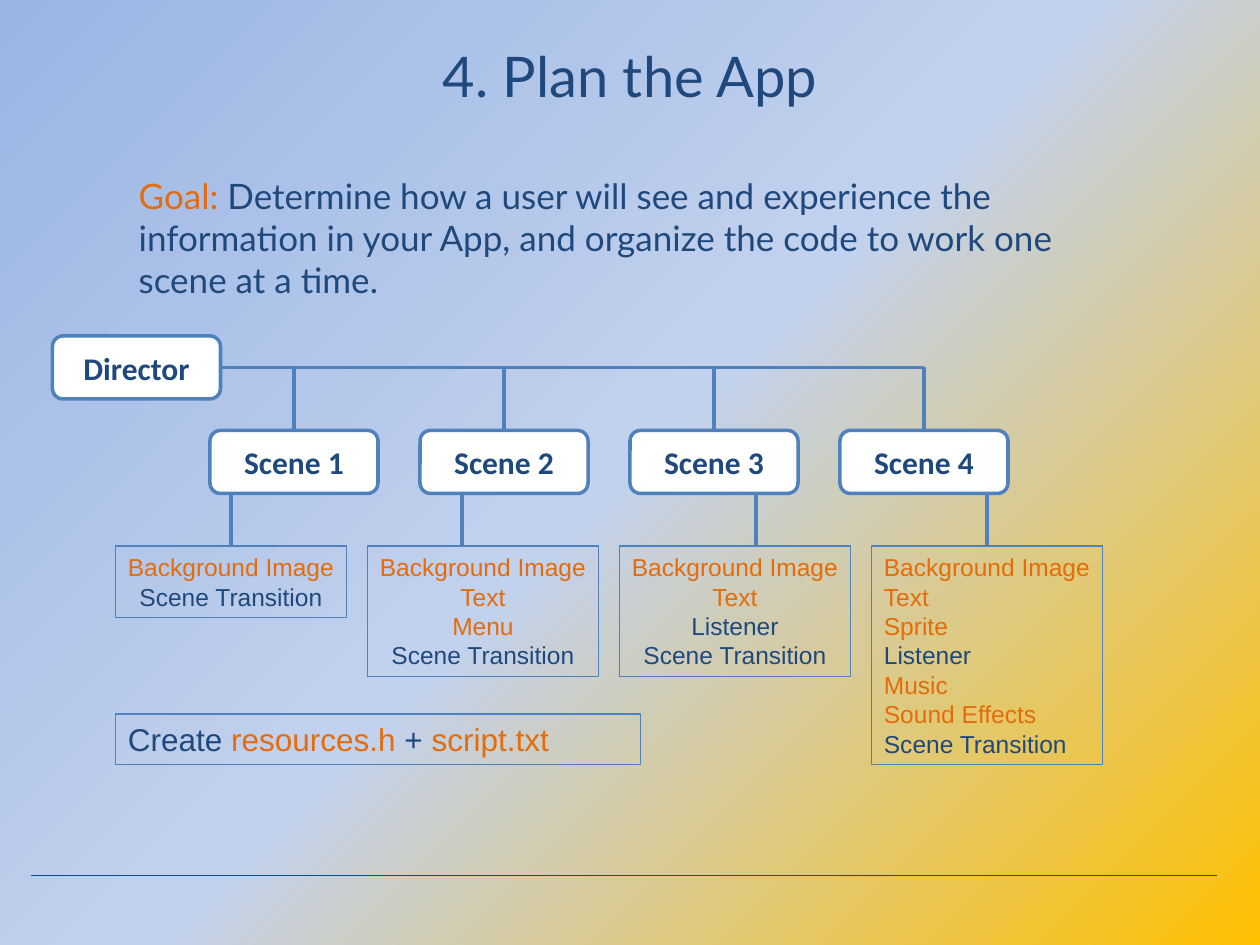
"""Build the "Plan the App" slide: a director with four scenes and their contents."""
from dataclasses import dataclass

from lxml.etree import SubElement
from pptx import Presentation
from pptx.dml.color import RGBColor
from pptx.enum.shapes import MSO_CONNECTOR as Line, MSO_SHAPE as Shape
from pptx.enum.text import MSO_ANCHOR as Anchor, MSO_AUTO_SIZE as AutoSize, PP_ALIGN as Align
from pptx.oxml import parse_xml
from pptx.oxml.ns import nsdecls, qn
from pptx.util import Pt


@dataclass(frozen=True)
class Theme:
    navy: str = "1F497D"
    orange: str = "E46C0A"
    blue: str = "4F81BD"
    rule: str = "005496"
    white: str = "FFFFFF"
    gradient: tuple = ((0, "9AB5E4"), (50, "C2D1ED"), (100, "FFC000"))
    heading_font: str = "Lato"
    node_font: str = "Calibri"
    detail_font: str = "Arial"
    title_size: int = 32
    goal_size: int = 20
    node_size: int = 18
    detail_size: int = 14
    thick: float = 2
    thin: float = 0.75


THEME = Theme()
NAVY, ORANGE = THEME.navy, THEME.orange
SCENES = (
    (132, Align.CENTER, (("Background Image", ORANGE), ("Scene Transition", NAVY))),
    (264, Align.CENTER, (("Background Image", ORANGE), ("Text", ORANGE),
                         ("Menu", ORANGE), ("Scene Transition", NAVY))),
    (432, Align.CENTER, (("Background Image", ORANGE), ("Text", ORANGE),
                         ("Listener", NAVY), ("Scene Transition", NAVY))),
    (564, Align.LEFT, (("Background Image", ORANGE), ("Text", ORANGE),
                       ("Sprite", ORANGE), ("Listener", NAVY), ("Music", ORANGE),
                       ("Sound Effects", ORANGE), ("Scene Transition", NAVY))),
)


def paint_background(page):
    stops = "".join(
        f'<a:gs pos="{place * 1000}"><a:srgbClr val="{colour}"/></a:gs>'
        for place, colour in THEME.gradient)
    page.background.fill.gradient()
    properties = page.background._cSld.bg.bgPr
    gradient = parse_xml(
        f'<a:gradFill {nsdecls("a")} rotWithShape="1"><a:gsLst>{stops}</a:gsLst>'
        '<a:lin ang="2700000" scaled="0"/></a:gradFill>')
    properties.replace(properties.find(qn("a:gradFill")), gradient)


def write(box, lines, font, size, align=Align.LEFT, bold=False, anchor=Anchor.TOP):
    frame = box.text_frame
    frame.word_wrap = True
    frame.vertical_anchor = anchor
    frame.text = "\n".join("" for _ in lines)
    for para, spans in zip(frame.paragraphs, lines):
        para.alignment = align
        para.space_before = Pt(0)
        for text, colour in spans:
            span = para.add_run()
            span.text = text
            span.font.name, span.font.size, span.font.bold = font, Pt(size), bold
            span.font.color.rgb = RGBColor.from_string(colour)


def fill_placeholder(box, area, spans, size, align=Align.LEFT):
    box.left, box.top, box.width, box.height = map(Pt, area)
    write(box, [spans], THEME.heading_font, size, align)
    box.text_frame.auto_size = AutoSize.NONE
    for para in box.text_frame.paragraphs:
        properties = para._p.get_or_add_pPr()
        properties.set("marL", "0")
        properties.set("indent", "0")
        SubElement(properties, qn("a:buNone"))


def add_box(page, kind, area, line_width):
    box = page.shapes.add_shape(kind, *map(Pt, area))
    box.shadow.inherit = False
    box.fill.background()
    box.line.color.rgb = RGBColor.from_string(THEME.blue)
    box.line.width = Pt(line_width)
    return box


def add_node(page, left, top, label):
    box = add_box(page, Shape.ROUNDED_RECTANGLE, (left, top, 96, 36), THEME.thick)
    box.fill.solid()
    box.fill.fore_color.rgb = RGBColor.from_string(THEME.white)
    write(box, [[(label, NAVY)]], THEME.node_font, THEME.node_size,
          Align.CENTER, bold=True, anchor=Anchor.MIDDLE)
    return box


def add_note(page, area, lines, size, align=Align.LEFT):
    box = add_box(page, Shape.RECTANGLE, area, THEME.thin)
    write(box, lines, THEME.detail_font, size, align)
    box.text_frame.auto_size = AutoSize.SHAPE_TO_FIT_TEXT
    return box


def add_line(page, start, end, colour=THEME.blue, width=THEME.thick):
    line = page.shapes.add_connector(Line.STRAIGHT, *map(Pt, (*start, *end)))
    line.line.color.rgb = RGBColor.from_string(colour)
    line.line.width = Pt(width)
    SubElement(line._element.spPr, qn("a:effectLst"))
    return line


def add_scene(page, index, stem, align, details):
    left = 120 + 120 * index
    node = add_node(page, left, 246, f"Scene {index + 1}")
    add_line(page, (left + 48, 246), (left + 48, 210)).begin_connect(node, 0)

    note_left, note_width = 66 + 144 * index, 132
    height = 7.2 + 16.8 * len(details)
    note = add_note(page, (note_left, 312, note_width, height),
                    [[detail] for detail in details], THEME.detail_size, align)
    link = add_line(page, (stem, 312), (stem, 282))
    if stem == note_left + note_width / 2:
        link.begin_connect(note, 0)


def main():
    deck = Presentation()
    deck.slide_width, deck.slide_height = Pt(720), Pt(540)
    page = deck.slides.add_slide(deck.slide_layouts[1])
    paint_background(page)

    title, goal = page.placeholders
    fill_placeholder(title, (108, 20, 504, 46), [("4. Plan the App", NAVY)],
                     THEME.title_size, Align.CENTER)
    fill_placeholder(goal, (72, 96, 570, 80), [
        ("Goal: ", ORANGE),
        ("Determine how a user will see and experience the information in your App, "
         "and organize the code to work one scene at a time.", NAVY)], THEME.goal_size)
    add_line(page, (17.5, 500.25), (695.5, 500.25), THEME.rule, THEME.thin)

    director = add_node(page, 30, 192, "Director")
    add_line(page, (126, 210), (528, 210)).begin_connect(director, 3)
    for index, (stem, align, details) in enumerate(SCENES):
        add_scene(page, index, stem, align, details)
    add_note(page, (66, 408, 300, 29), [[
        ("Create ", NAVY), ("resources.h ", ORANGE), ("+ ", NAVY), ("script.txt", ORANGE)]],
        THEME.node_size)
    deck.save("out.pptx")


if __name__ == "__main__":
    main()
